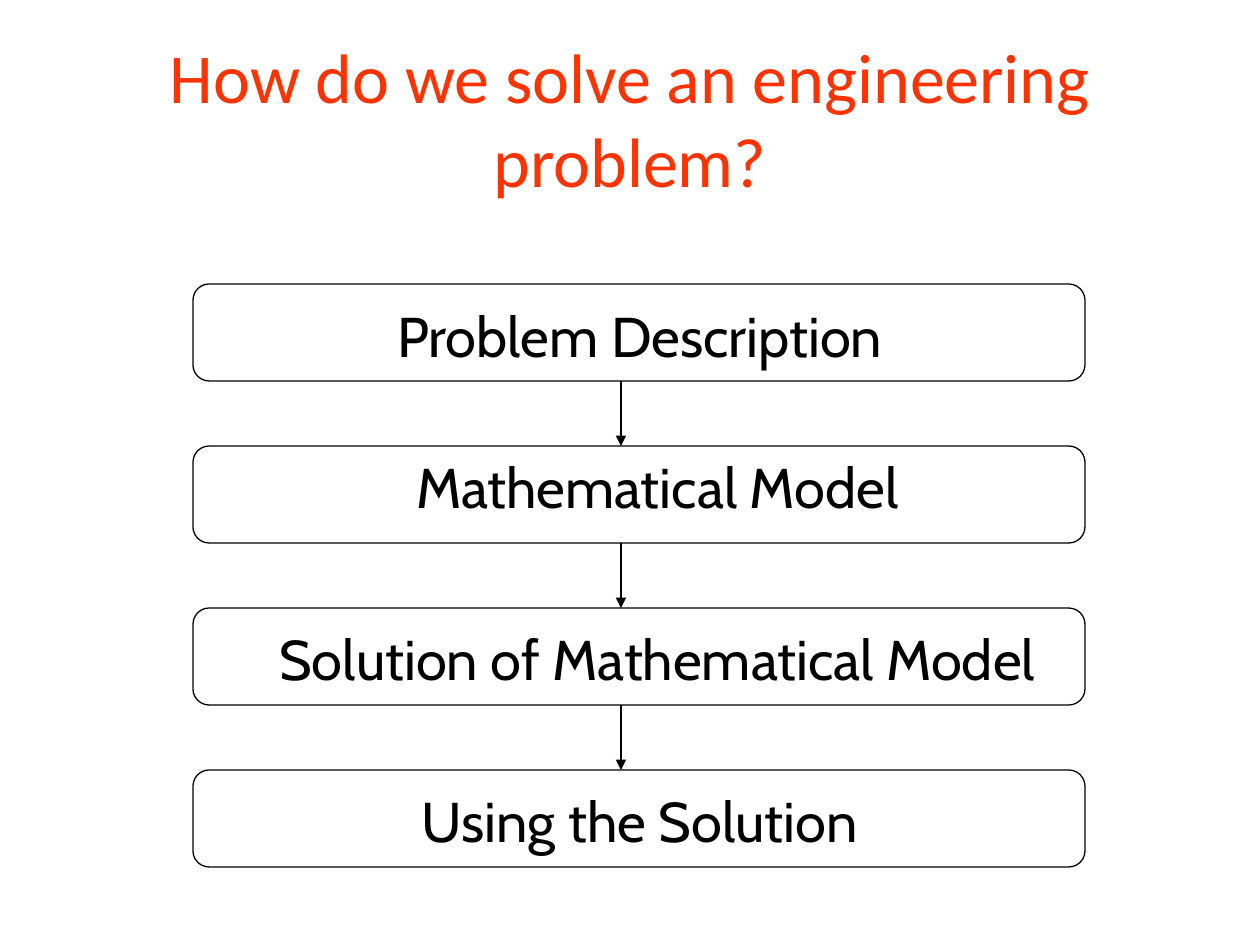
"""Build a slide showing the four steps of solving an engineering problem."""
from dataclasses import dataclass

import lxml.etree
import pptx
import pptx.dml.color
import pptx.enum.shapes
import pptx.enum.text
import pptx.oxml.ns
import pptx.util
from pptx.shapes.connector import Connector
from pptx.slide import Slide

PX_PER_INCH = 126
BLACK, WHITE, TITLE_RED = "000000", "FFFFFF", "FF3300"
STEP_LEFT, STEP_TOP, STEP_WIDTH, STEP_HEIGHT = 193, 284, 892, 97
STEP_PITCH = 162
LABEL_LEFT = 229
ARROW_X = 621


@dataclass(frozen=True)
class Step:
    label: str
    label_drop: int
    label_width: int
    label_height: int = 81


STEPS = [
    Step("Problem Description", 11, 822),
    Step("Mathematical Model", 0, 857),
    Step("Solution of Mathematical Model", 10, 857, 147),
    Step("Using the Solution", 10, 822),
]


def px(length: int) -> pptx.util.Emu:
    return pptx.util.Emu(round(length * 914400 / PX_PER_INCH))


def rgb(colour: str) -> pptx.dml.color.RGBColor:
    return pptx.dml.color.RGBColor.from_string(colour)


def add_text(slide: Slide, text: str, left: int, top: int, width: int, height: int,
             font: str, size: int, colour: str,
             anchor: pptx.enum.text.MSO_ANCHOR) -> None:
    frame = slide.shapes.add_textbox(px(left), px(top), px(width), px(height)).text_frame
    frame.word_wrap = True
    frame.vertical_anchor = anchor
    paragraph = frame.paragraphs[0]
    paragraph.text = text
    paragraph.alignment = pptx.enum.text.PP_ALIGN.CENTER
    paragraph.font.name = font
    paragraph.font.size = pptx.util.Pt(size)
    paragraph.font.color.rgb = rgb(colour)


def add_step(slide: Slide, step: Step, top: int) -> None:
    box = slide.shapes.add_shape(
        pptx.enum.shapes.MSO_SHAPE.FLOWCHART_ALTERNATE_PROCESS,
        px(STEP_LEFT), px(top), px(STEP_WIDTH), px(STEP_HEIGHT))
    box.shadow.inherit = False
    box.fill.solid()
    box.fill.fore_color.rgb = rgb(WHITE)
    box.line.color.rgb = rgb(BLACK)
    box.line.width = pptx.util.Pt(0.75)
    add_text(slide, step.label, LABEL_LEFT, top + step.label_drop, step.label_width,
             step.label_height, "Cabin", 32, BLACK, pptx.enum.text.MSO_ANCHOR.TOP)


def add_arrow(slide: Slide, start: int, end: int) -> Connector:
    arrow = slide.shapes.add_connector(
        pptx.enum.shapes.MSO_CONNECTOR.STRAIGHT,
        px(ARROW_X), px(start), px(ARROW_X), px(end))
    arrow.line.color.rgb = rgb(BLACK)
    arrow.line.width = pptx.util.Pt(0.75)
    lxml.etree.SubElement(arrow.line._get_or_add_ln(),
                          pptx.oxml.ns.qn("a:tailEnd"), type="triangle")
    lxml.etree.SubElement(arrow._element.spPr, pptx.oxml.ns.qn("a:effectLst"))
    return arrow


def main() -> None:
    presentation = pptx.Presentation()
    presentation.slide_width = px(1260)
    presentation.slide_height = px(945)
    slide = presentation.slides.add_slide(presentation.slide_layouts[6])
    add_text(slide, "How do we solve an engineering problem?", 63, 38, 1134, 158,
             "Calibri", 40, TITLE_RED, pptx.enum.text.MSO_ANCHOR.MIDDLE)
    for index, step in enumerate(STEPS):
        top = STEP_TOP + index * STEP_PITCH
        add_step(slide, step, top)
        if index > 0:
            add_arrow(slide, top - STEP_PITCH + STEP_HEIGHT, top)
    presentation.save("out.pptx")


if __name__ == "__main__":
    main()
